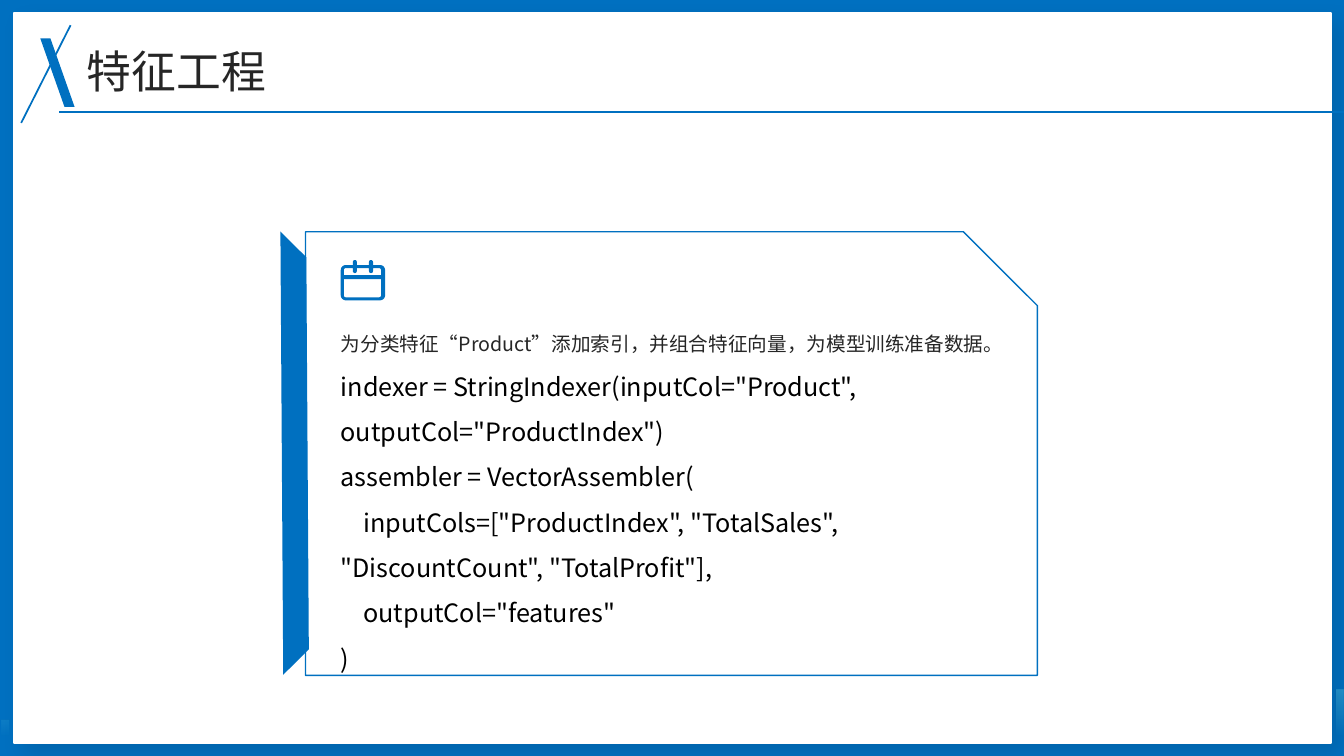
from math import cos, radians, sin

from lxml import etree
from pptx import Presentation
from pptx.dml.color import RGBColor
from pptx.enum.shapes import MSO_CONNECTOR, MSO_SHAPE
from pptx.enum.text import MSO_ANCHOR, PP_ALIGN
from pptx.oxml.ns import qn
from pptx.util import Inches, Pt

RECTANGLE = MSO_SHAPE.RECTANGLE
SNIPPED = MSO_SHAPE.SNIP_1_RECTANGLE
STRIPE = MSO_SHAPE.DIAGONAL_STRIPE
PARALLELOGRAM = MSO_SHAPE.PARALLELOGRAM
STRAIGHT = MSO_CONNECTOR.STRAIGHT
LEFT, TOP, MIDDLE = PP_ALIGN.LEFT, MSO_ANCHOR.TOP, MSO_ANCHOR.MIDDLE

FONT = "Noto Sans CJK SC"
COLORS = {"blue": "0070C0", "white": "FFFFFF", "ink": "262626",
          "code": "000000", "glow": "7AE8F0"}
TITLE = "特征工程"
INTRO = "为分类特征“Product”添加索引，并组合特征向量，为模型训练准备数据。"
CODE = [
    'indexer = StringIndexer(inputCol="Product", outputCol="ProductIndex")',
    "assembler = VectorAssembler(",
    '    inputCols=["ProductIndex", "TotalSales", "DiscountCount", "TotalProfit"],',
    '    outputCol="features"',
    ")",
]


def rgb(name):
    """Return the named colour."""
    return RGBColor.from_string(COLORS[name])


def paint(shape, fill, line=None):
    """Give a shape a solid fill and an optional one-point line."""
    shape.shadow.inherit = False
    shape.fill.solid()
    shape.fill.fore_color.rgb = rgb(fill)
    if line:
        shape.line.color.rgb = rgb(line)
        shape.line.width = Pt(1)
    else:
        shape.line.fill.background()


def add_block(page, kind, place, fill, line=None, adjust=None, rotation=0):
    """Add a filled preset shape."""
    block = page.shapes.add_shape(kind, *map(Inches, place))
    paint(block, fill, line)
    if adjust is not None:
        block.adjustments[0] = adjust
    block.rotation = rotation
    return block


def add_outline(page, contours):
    """Add one freeform made of closed contours given in inches."""
    contours = [[(Inches(x), Inches(y)) for x, y in contour] for contour in contours]
    builder = page.shapes.build_freeform(*contours[0][0], scale=1.0)
    for index, contour in enumerate(contours):
        if index:
            builder.move_to(*contour[0])
        builder.add_line_segments(contour[1:], close=True)
    return builder.convert_to_shape()


def add_line(page, start, end):
    """Add a thin blue straight line."""
    line = page.shapes.add_connector(STRAIGHT, *map(Inches, start + end))
    line.line.color.rgb = rgb("blue")
    line.line.width = Pt(1.25)
    etree.SubElement(line._element.spPr, qn("a:effectLst"))


def add_shadow(shape):
    """Cast a soft shadow towards the lower right."""
    effects = shape._element.spPr.find(qn("a:effectLst"))
    shadow = etree.SubElement(effects, qn("a:outerShdw"), blurRad=str(Pt(15)),
                              dist=str(Pt(10)), dir=str(45 * 60000))
    color = etree.SubElement(shadow, qn("a:srgbClr"), val=COLORS["code"])
    etree.SubElement(color, qn("a:alpha"), val="10000")


def arc(x, y, radius, start, end, steps=6):
    """Return points along an arc, angles in degrees clockwise from the right."""
    angles = [radians(start + (end - start) * step / steps) for step in range(steps + 1)]
    return [(x + radius * cos(angle), y + radius * sin(angle)) for angle in angles]


def add_calendar(page):
    """Draw the calendar icon with its two rings."""
    rings = (3.52, 3.68)
    outer = arc(3.43, 2.68, 0.05, 180, 270)
    header = arc(3.43, 2.68, 0.02, 180, 270)
    for x in rings:
        outer += [(x - 0.02, 2.63), *arc(x, 2.6, 0.02, 180, 360), (x + 0.02, 2.63)]
        header += [(x - 0.02, 2.66), *arc(x, 2.69, 0.02, 180, 0), (x + 0.02, 2.66)]
    outer += arc(3.77, 2.68, 0.05, 270, 360)
    outer += arc(3.77, 2.93, 0.05, 0, 90) + arc(3.43, 2.93, 0.05, 90, 180)
    header += arc(3.76, 2.68, 0.02, 270, 360) + [(3.78, 2.73), (3.41, 2.73)]
    sheet = [(3.41, 2.77), (3.78, 2.77)]
    sheet += arc(3.76, 2.93, 0.02, 0, 90) + arc(3.43, 2.93, 0.02, 90, 180)
    paint(add_outline(page, [outer, header[::-1], sheet[::-1]]), "blue")


def add_edge_bars(page):
    """Draw the fading bars on the left and right edges."""
    bars = [[(x, top), (x + 0.08, top), (x + 0.08, 7.5), (x, 7.5)]
            for x, top in ((0.02, 7.14), (13.24, 6.84))]
    shape = add_outline(page, bars)
    paint(shape, "glow")
    shape.fill.gradient()
    shape.fill.gradient_angle = 270
    for stop, position, alpha in zip(shape.fill.gradient_stops, (0, 0.7), (30000, 0)):
        stop.position = position
        stop.color.rgb = rgb("glow")
        color = stop._gs.find(qn("a:srgbClr"))
        etree.SubElement(color, qn("a:alpha"), val=str(alpha))


def set_frame(box, place, anchor):
    """Place a text shape and clear its margins."""
    box.left, box.top, box.width, box.height = map(Inches, place)
    settings = {"word_wrap": True, "vertical_anchor": anchor, "margin_left": 0,
                "margin_right": 0, "margin_top": 0, "margin_bottom": 0}
    for name, value in settings.items():
        setattr(box.text_frame, name, value)


def write(para, text, size, color, spacing):
    """Fill a paragraph with one formatted run."""
    para.alignment = LEFT
    para.line_spacing = spacing
    span = para.add_run()
    span.text = text
    for name, value in {"size": Pt(size), "name": FONT, "bold": False}.items():
        setattr(span.font, name, value)
    span.font.color.rgb = rgb(color)
    etree.SubElement(span.font._element, qn("a:ea"), typeface=FONT)


def add_title(page):
    """Format the title placeholder and bring it to the front."""
    title = page.shapes.title
    set_frame(title, (0.86, 0.44, 11.74, 0.47), MIDDLE)
    write(title.text_frame.paragraphs[0], TITLE, 32, "ink", 1.1)
    page.shapes._spTree.append(title._element)


def add_code(page):
    """Add the introduction and the code listing."""
    place = (3.38, 3.18, 6.56, 2.29)
    box = page.shapes.add_textbox(*map(Inches, place))
    set_frame(box, place, TOP)
    write(box.text_frame.paragraphs[0], INTRO, 14, "ink", 1.5)
    for text in CODE:
        write(box.text_frame.add_paragraph(), text, 18, "code", 1.5)


def main():
    """Build the slide and save it."""
    deck = Presentation()
    deck.slide_width, deck.slide_height = Inches(13.33), Inches(7.5)
    page = deck.slides.add_slide(deck.slide_layouts[5])
    add_block(page, RECTANGLE, (0, 0, 13.33, 7.5), "blue")
    add_edge_bars(page)
    panel = add_block(page, RECTANGLE, (0.14, 0.13, 13.06, 7.24), "white", "white")
    add_shadow(panel)
    add_block(page, SNIPPED, (3.03, 2.3, 7.26, 4.4), "white", "blue")
    add_block(page, STRIPE, (1.25, 2.93, 3.09, 3.13), "blue", adjust=0.884, rotation=135)
    add_calendar(page)
    add_code(page)
    add_title(page)
    slash = add_block(page, PARALLELOGRAM, (0.4, 0.38, 0.34, 0.68), "blue", adjust=0.705)
    slash._element.spPr.find(qn("a:xfrm")).set("flipH", "1")
    add_line(page, (0.7, 0.25), (0.21, 1.22))
    add_line(page, (0.59, 1.11), (13.33, 1.11))
    deck.save("out.pptx")


if __name__ == "__main__":
    main()
